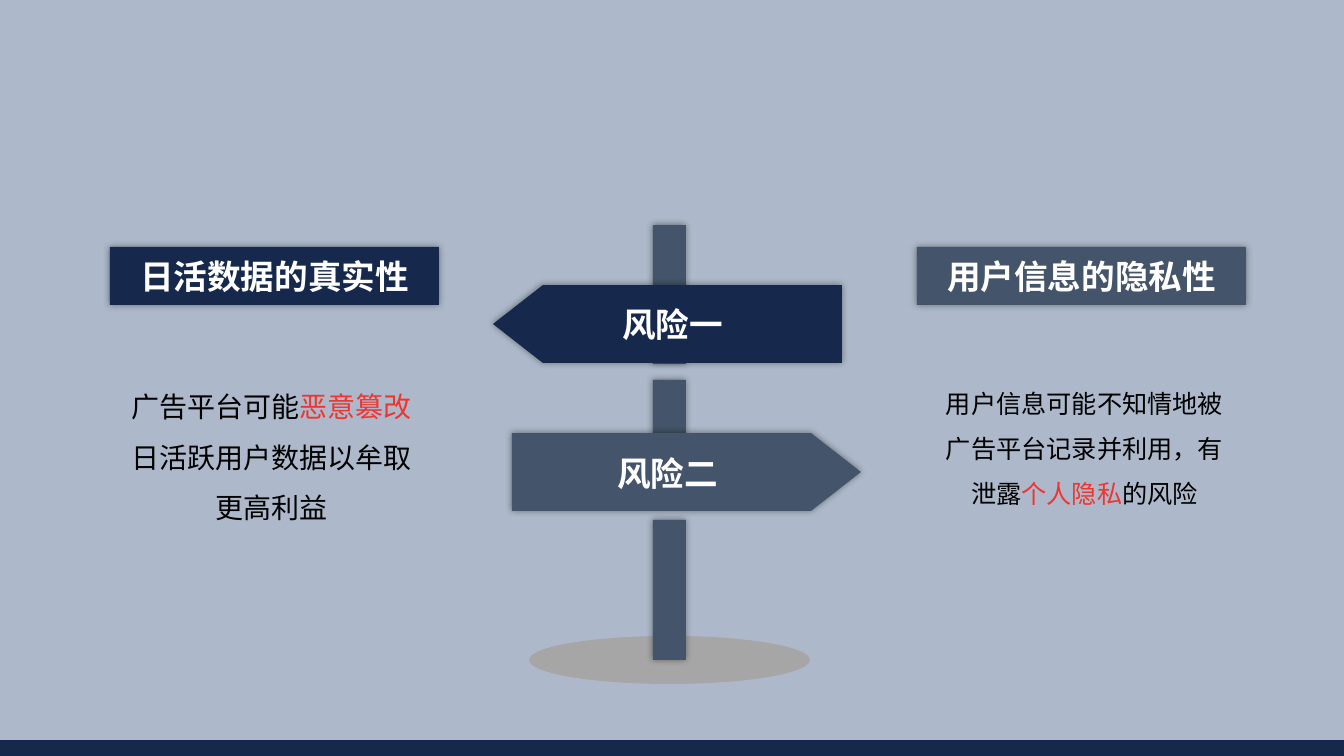
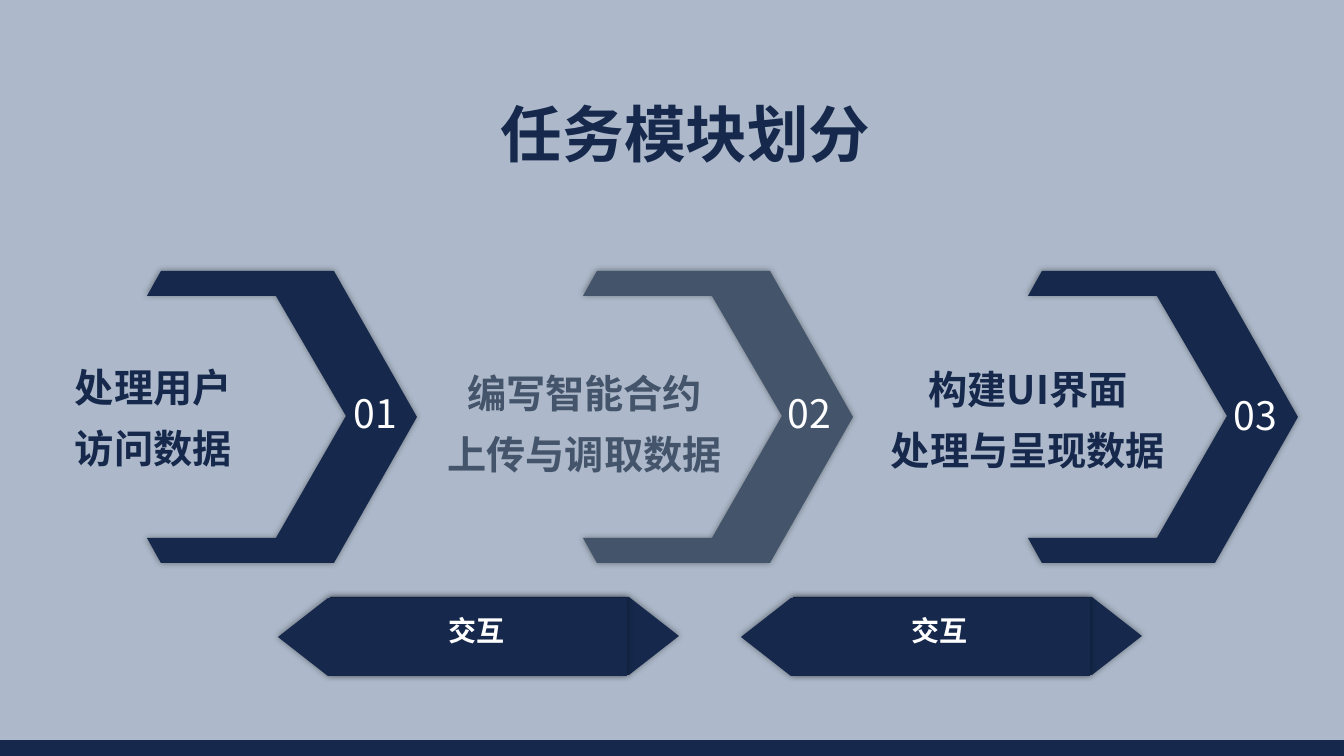
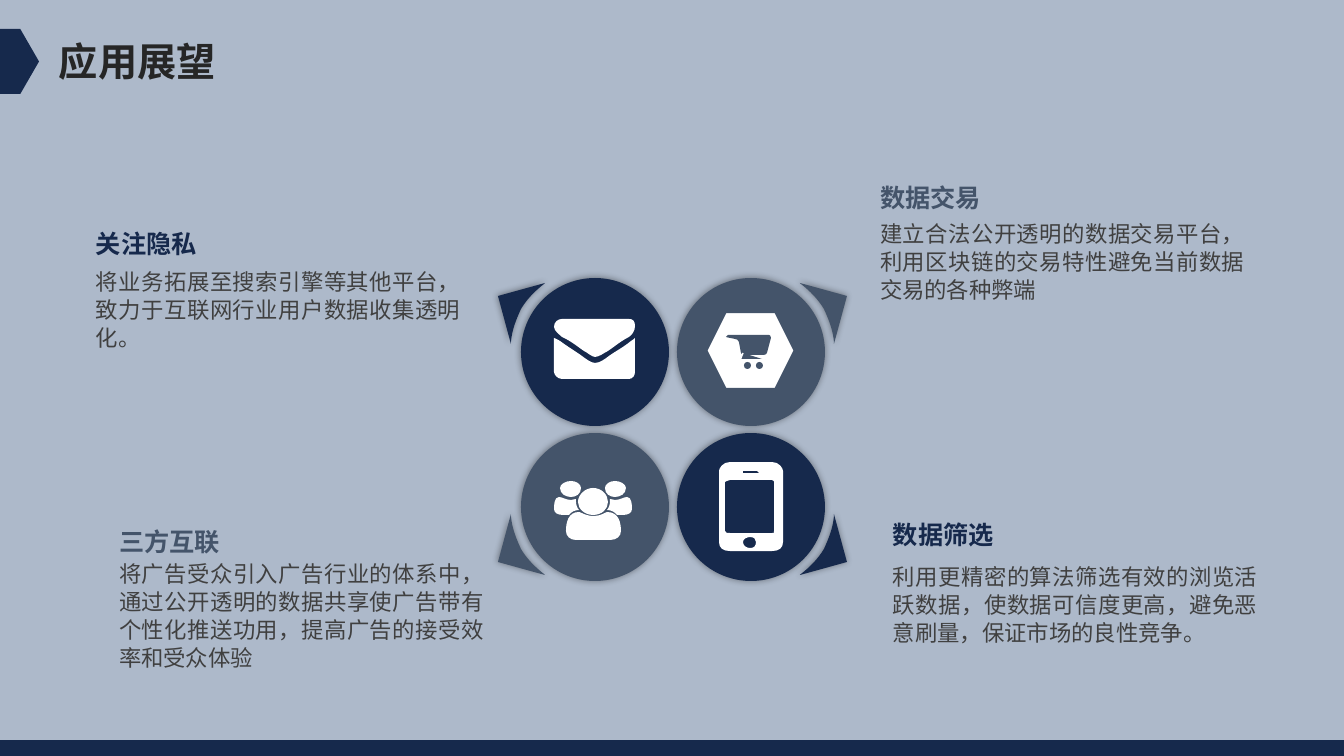
from pptx import Presentation
from pptx.dml.color import RGBColor
from pptx.enum.shapes import MSO_SHAPE
from pptx.enum.text import MSO_ANCHOR, MSO_AUTO_SIZE, PP_ALIGN
from pptx.oxml import parse_xml
from pptx.oxml.ns import nsdecls, qn
from pptx.util import Pt

# Shared look
PIXEL = 914400 / 100.8
WIDTH, HEIGHT = 1344, 756
FONT = "Noto Sans CJK SC"
BACKGROUND, NAVY, SLATE, WHITE = "ADB9CA", "16294C", "44546A", "FFFFFF"
BLACK, TITLE_GRAY, BODY_GRAY = "000000", "262626", "404040"
RED, STONE = "F1342F", "A6A6A6"
LEFT, CENTER, RIGHT, JUSTIFY = (
    PP_ALIGN.LEFT, PP_ALIGN.CENTER, PP_ALIGN.RIGHT, PP_ALIGN.JUSTIFY)
SHADOW = (f'<a:outerShdw {nsdecls("a")} blurRad="63500" dist="0" dir="0">'
          '<a:srgbClr val="000000"><a:alpha val="40000"/></a:srgbClr></a:outerShdw>')

# Signs pointing left and right, used on two slides
SIGN_LEFT = [[(0, 39), (50, 0), (349, 0), (349, 78), (50, 78)]]
SIGN_RIGHT = [[(349 - x, y) for x, y in SIGN_LEFT[0]]]


def draw(page, form, at, fill, shadow=False, line=None, closed=True):
    """Draw a preset in a box, or outlines from an origin; six numbers make a curve."""
    if isinstance(form, list):
        builder = None
        for outline in form:
            points = [((at[0] + node[-2]) * PIXEL, (at[1] + node[-1]) * PIXEL)
                      for node in outline]
            if builder is None:
                builder = page.shapes.build_freeform(*points[0], scale=1.0)
            else:
                builder.move_to(*points[0])
            builder.add_line_segments(points[1:], close=closed)
        shape = builder.convert_to_shape()
        # Turn the segments with control points into curves
        segments = list(shape.element.spPr.iter(qn("a:moveTo"), qn("a:lnTo")))
        nodes = [node for outline in form for node in outline]
        for segment, node in zip(segments, nodes):
            if len(node) == 6:
                points = "".join(
                    f'<a:pt x="{round((at[0] + x) * PIXEL) - shape.left}"'
                    f' y="{round((at[1] + y) * PIXEL) - shape.top}"/>'
                    for x, y in zip(node[::2], node[1::2]))
                curve = parse_xml(f'<a:cubicBezTo {nsdecls("a")}>{points}</a:cubicBezTo>')
                segment.getparent().replace(segment, curve)
    else:
        shape = page.shapes.add_shape(form, *(round(value * PIXEL) for value in at))
    shape.fill.solid()
    shape.fill.fore_color.rgb = RGBColor.from_string(fill)
    if line:
        shape.line.color.rgb = RGBColor.from_string(line[0])
        shape.line.width = Pt(line[1])
    else:
        shape.line.fill.background()
    shape.shadow.inherit = False
    if shadow:
        shape.element.spPr.find(qn("a:effectLst")).append(parse_xml(SHADOW))
    return shape


def write(page, at, paragraphs, size, color, bold=False, align=LEFT,
          spacing=None, wrap=True, inset=True, fill=None):
    """Write paragraphs of spans; every second span of a paragraph is red."""
    if fill:
        box = draw(page, MSO_SHAPE.RECTANGLE, at, fill, shadow=True)
        layout = {"vertical_anchor": MSO_ANCHOR.MIDDLE}
    else:
        box = page.shapes.add_textbox(*(round(value * PIXEL) for value in at))
        layout = {"auto_size": MSO_AUTO_SIZE.SHAPE_TO_FIT_TEXT}
    layout["word_wrap"] = wrap
    if not inset:
        layout.update(margin_left=0, margin_top=0, margin_right=0, margin_bottom=0)
    frame = box.text_frame
    for name, value in layout.items():
        setattr(frame, name, value)
    for index, spans in enumerate(paragraphs):
        para = frame.add_paragraph() if index else frame.paragraphs[0]
        for name, value in {"alignment": align, "line_spacing": spacing}.items():
            setattr(para, name, value)
        for order, text in enumerate(spans):
            span = para.add_run()
            span.text = text
            for name, value in {"size": Pt(size), "bold": bold, "name": FONT}.items():
                setattr(span.font, name, value)
            span.font.color.rgb = RGBColor.from_string(RED if order % 2 else color)
            span._r.get_or_add_rPr().append(
                parse_xml(f'<a:ea {nsdecls("a")} typeface="{FONT}"/>'))


# Deck with the shared background and bottom band
deck = Presentation()
deck.slide_width, deck.slide_height = round(WIDTH * PIXEL), round(HEIGHT * PIXEL)
pages = [deck.slides.add_slide(deck.slide_layouts[6]) for _ in range(3)]
for page in pages:
    page.background.fill.solid()
    page.background.fill.fore_color.rgb = RGBColor.from_string(BACKGROUND)
    draw(page, MSO_SHAPE.RECTANGLE, (0, 740, WIDTH, 16), NAVY)
risks, modules, outlook = pages

# Risks: signpost
draw(risks, MSO_SHAPE.OVAL, (529, 636, 281, 48), STONE)
for top, height in ((225, 139), (380, 125), (520, 140)):
    draw(risks, MSO_SHAPE.RECTANGLE, (653, top, 33, height), SLATE, shadow=True)
for sign, at, fill, label, label_at, wrap in (
        (SIGN_LEFT, (493, 285), NAVY, "风险一", (573, 299, 160, 50), True),
        (SIGN_RIGHT, (512, 433), SLATE, "风险二", (606, 448, 122, 50), False)):
    draw(risks, sign, at, fill, shadow=True)
    write(risks, label_at, [[label]], 24, WHITE, bold=True, align=RIGHT, wrap=wrap)

# Risks: heading and explanation on each side
for left, fill, heading, text_at, size, spans in (
        (110, NAVY, "日活数据的真实性", (111, 368, 321, 163), 20,
         ["广告平台可能", "恶意篡改", "日活跃用户数据以牟取更高利益"]),
        (917, SLATE, "用户信息的隐私性", (924, 368, 321, 147), 18,
         ["用户信息可能不知情地被广告平台记录并利用，有泄露", "个人隐私", "的风险"])):
    write(risks, (left, 247, 329, 58), [[heading]], 24, WHITE, bold=True,
          align=CENTER, fill=fill)
    write(risks, text_at, [spans], size, BLACK, align=CENTER, spacing=1.5)

# Modules: title and three chevrons
write(modules, (491, 69, 437, 107), [["任务模块划分"]], 44, NAVY, bold=True, spacing=1.3)
CHEVRON = [[(14, 0), (187, 0), (270, 146), (187, 292), (14, 292), (0, 267),
            (129, 267), (199, 145), (129, 25), (0, 25)]]
for left, color, number, number_at, lines, text_at, align, wrap in (
        (147, NAVY, "01", (344, 384), ["处理用户", "访问数据"],
         (65, 344, 182, 134), LEFT, False),
        (583, SLATE, "02", (778, 384), ["编写智能合约", "上传与调取数据"],
         (416, 350, 337, 134), CENTER, True),
        (1028, NAVY, "03", (1224, 386), ["构建UI界面", "处理与呈现数据"],
         (876, 346, 304, 134), CENTER, False)):
    draw(modules, CHEVRON, (left, 271), color, shadow=True)
    write(modules, (*number_at, 69, 57), [[number]], 28, WHITE, wrap=False)
    write(modules, text_at, [[line] for line in lines], 28, color, bold=True,
          align=align, spacing=1.3, wrap=wrap)

# Modules: two-way arrows between neighbours
for left in (278, 741):
    draw(modules, SIGN_RIGHT, (left + 52, 597), NAVY, shadow=True)
    draw(modules, SIGN_LEFT, (left, 598), NAVY, shadow=True)
    write(modules, (left + 112, 609, 174, 44), [["交互"]], 20, WHITE, bold=True, align=CENTER)

# Outlook: title with its marker
marker = draw(outlook, MSO_SHAPE.PENTAGON, (0, 29, 39, 65), NAVY)
marker.adjustments[0] = 0.48
write(outlook, (49, 32, 178, 57), [["应用展望"]], 28, TITLE_GRAY, bold=True, wrap=False)

# Outlook: four corner pointers and circles, mirrored about the centre
POINTER = [(-127, -146), (-128, -145), (-137, -138, -145, -130, -151, -120),
           (-156, -109, -160, -99, -161, -87), (-161, -85), (-174, -133)]
quarters = ((-1, -1, NAVY), (1, -1, SLATE), (-1, 1, SLATE), (1, 1, NAVY))
for across, down, color in quarters:
    pointer = [tuple(-value * (down if index % 2 else across)
                     for index, value in enumerate(node)) for node in POINTER]
    draw(outlook, [pointer], (672 if across < 0 else 673, 429), color, shadow=True)
for across, down, color in quarters:
    left, top = 521 if across < 0 else 677, 278 if down < 0 else 433
    draw(outlook, MSO_SHAPE.OVAL, (left, top, 148, 148), color, shadow=True)

# Outlook: heading and text of each quarter
for left, heading_top, text_top, height, color, heading, text in (
        (96, 228, 267, 83, NAVY, "关注隐私",
         "将业务拓展至搜索引擎等其他平台，致力于互联网行业用户数据收集透明化。"),
        (119, 526, 559, 112, SLATE, "三方互联",
         "将广告受众引入广告行业的体系中，通过公开透明的数据共享使广告带有"
         "个性化推送功用，提高广告的接受效率和受众体验"),
        (880, 182, 219, 83, SLATE, "数据交易",
         "建立合法公开透明的数据交易平台，利用区块链的交易特性避免当前数据交易的各种弊端"),
        (893, 519, 562, 83, NAVY, "数据筛选",
         "利用更精密的算法筛选有效的浏览活跃数据，使数据可信度更高，避免恶意刷量，"
         "保证市场的良性竞争。")):
    write(outlook, (left, text_top, 365, height), [[text]], 16, BODY_GRAY,
          align=JUSTIFY, spacing=Pt(20), inset=False)
    write(outlook, (left, heading_top, 206, 30), [[heading]], 18, color, bold=True, inset=False)

# Outlook: shopping cart
BASKET = [(764, 355), (765, 355, 767, 354, 767, 353), (771, 338),
          (771, 336, 770, 335, 769, 335), (728, 335), (727, 335, 726, 336, 726, 337),
          (727, 337, 728, 338, 730, 338), (735, 339), (737, 339, 738, 340, 739, 342),
          (741, 353), (741, 354, 743, 355, 744, 355)]
RAIL = [(743, 353), (741, 358), (740, 359, 741, 360, 742, 360), (765, 360)]
draw(outlook, MSO_SHAPE.HEXAGON, (704, 310, 93, 81), WHITE, line=(SLATE, 4.5))
draw(outlook, [BASKET], (0, 0), SLATE)
for left in (744, 756):
    draw(outlook, MSO_SHAPE.OVAL, (left, 362, 7, 7), SLATE)
draw(outlook, [RAIL], (0, 0), SLATE, line=(WHITE, 1), closed=False)

# Outlook: envelope
FLAP = [(629, 337), (621, 341, 614, 347, 608, 351), (604, 353, 599, 357, 595, 357),
        (592, 357, 588, 353, 584, 351), (578, 347, 571, 341, 562, 337),
        (560, 335, 554, 331, 554, 327), (554, 322, 558, 319, 562, 319), (629, 319),
        (633, 319, 635, 321, 635, 326), (635, 331, 632, 335, 629, 337)]
POCKET = [(635, 372), (635, 375, 633, 379, 629, 379), (562, 379),
          (558, 379, 554, 375, 554, 372), (554, 338), (557, 339, 558, 340, 560, 341),
          (568, 347, 575, 351, 582, 356), (586, 359, 591, 363, 595, 363),
          (600, 363, 605, 359, 609, 356), (616, 351, 624, 347, 631, 341),
          (633, 340, 634, 339, 635, 338)]
draw(outlook, [FLAP, POCKET], (0, 0), WHITE)

# Outlook: group of people, the right one mirrors the left one
SHOULDER = [(569, 515), (563, 515), (558, 515, 554, 513, 554, 509),
            (554, 506, 554, 497, 559, 497), (562, 497, 566, 500, 571, 500),
            (573, 500, 574, 500, 576, 499), (576, 502), (576, 504, 577, 508, 579, 510),
            (575, 510, 571, 512, 569, 515)]
SIDE_HEAD = [(571, 497), (566, 497, 560, 494, 560, 488), (560, 484, 566, 481, 571, 481),
             (576, 481, 581, 484, 581, 488), (581, 494, 576, 497, 571, 497)]
BODY = [(610, 540), (576, 540), (570, 540, 566, 536, 566, 531),
        (566, 523, 568, 512, 579, 512), (581, 512, 585, 516, 594, 516),
        (601, 516, 606, 512, 607, 512), (619, 512, 621, 523, 621, 531),
        (621, 536, 617, 540, 610, 540)]
HEAD = [(593, 515), (585, 515, 578, 509, 578, 502), (578, 495, 585, 488, 593, 488),
        (602, 488, 608, 495, 608, 502), (608, 509, 602, 515, 593, 515)]
left_person = [SHOULDER, SIDE_HEAD]
right_person = [[tuple(value if index % 2 else 1186 - value
                       for index, value in enumerate(node)) for node in outline]
                for outline in left_person]
draw(outlook, left_person + [BODY, HEAD] + right_person, (0, 0), WHITE)

# Outlook: phone
CASE = [(783, 542), (783, 548, 779, 551, 772, 551), (730, 551),
        (723, 551, 719, 548, 719, 542), (719, 471), (719, 468, 723, 462, 730, 462),
        (772, 462), (779, 462, 783, 468, 783, 471)]
SCREEN = [(774, 482), (774, 482, 774, 480, 772, 480), (730, 480),
          (728, 480, 725, 482, 725, 482), (725, 531), (725, 533, 728, 533, 730, 533),
          (772, 533), (774, 533, 774, 533, 774, 531)]
SPEAKER = [(743, 471), (757, 471), (759, 473), (743, 473)]
BUTTON = [(750, 537), (747, 537, 743, 539, 743, 542), (743, 546, 747, 548, 750, 548),
          (754, 548, 756, 546, 756, 542), (756, 539, 754, 537, 750, 537)]
draw(outlook, [CASE, SCREEN, SPEAKER, BUTTON], (0, 0), WHITE)

deck.save("out.pptx")
